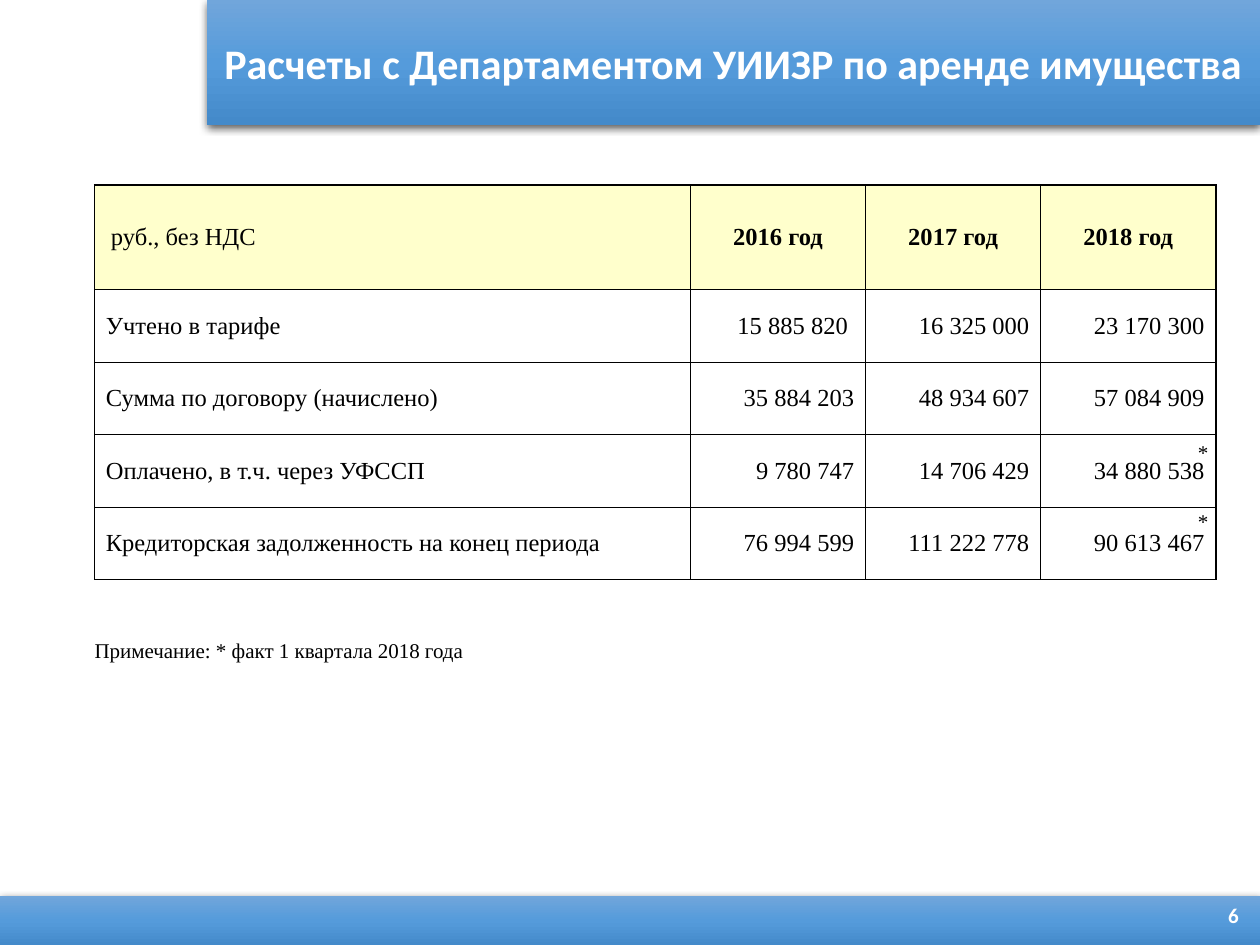
from copy import deepcopy
from dataclasses import dataclass

from lxml.etree import SubElement
from pptx import Presentation
from pptx.dml.color import RGBColor
from pptx.enum.shapes import MSO_SHAPE as Shape
from pptx.enum.text import MSO_ANCHOR as Anchor, PP_ALIGN as Align
from pptx.oxml.ns import qn
from pptx.util import Inches, Pt


@dataclass(frozen=True)
class Theme:
    white: str = "FFFFFF"
    black: str = "000000"
    header_fill: str = "FFFFCC"
    bar_stops: tuple = ((0, "71A6DB"), (0.5, "559BDB"), (1, "448ACA"))
    heading_font: str = "Calibri"
    body_font: str = "Times New Roman"
    title_size: int = 24
    table_size: int = 14
    small_size: int = 12
    inner_line: float = 0.5
    outer_line: float = 1


@dataclass(frozen=True)
class Box:
    left: float
    top: float
    width: float
    height: float

    def lengths(self) -> tuple:
        return tuple(map(Inches, (self.left, self.top, self.width, self.height)))


@dataclass(frozen=True)
class TextStyle:
    font: str
    size: int
    color: str
    bold: bool = False
    align: Align = Align.LEFT


THEME = Theme()
TITLE = TextStyle(THEME.heading_font, THEME.title_size, THEME.white, True, Align.CENTER)
PAGE_NUMBER = TextStyle(THEME.heading_font, THEME.small_size, THEME.white, True, Align.RIGHT)
NOTE = TextStyle(THEME.body_font, THEME.small_size, THEME.black)
LABEL = TextStyle(THEME.body_font, THEME.table_size, THEME.black)
YEAR = TextStyle(THEME.body_font, THEME.table_size, THEME.black, True, Align.CENTER)
AMOUNT = TextStyle(THEME.body_font, THEME.table_size, THEME.black, align=Align.RIGHT)

PAYMENTS = (
    ("руб., без НДС", "2016 год", "2017 год", "2018 год"),
    ("Учтено в тарифе", "15 885 820", "16 325 000", "23 170 300"),
    ("Сумма по договору (начислено)", "35 884 203", "48 934 607", "57 084 909"),
    ("Оплачено, в т.ч. через УФССП", "9 780 747", "14 706 429", "34 880 538"),
    ("Кредиторская задолженность на конец периода",
     "76 994 599", "111 222 778", "90 613 467"),
)
FOOTNOTE = "Примечание: * факт 1 квартала 2018 года"
COLUMN_WIDTHS = (4.73, 1.39, 1.39, 1.39)
ROW_HEIGHTS = (0.83, 0.575, 0.575, 0.575, 0.575, 0.33, 0.33)
CELL_PADDING = 0.09


def write(text_frame, text: str, style: TextStyle) -> None:
    paragraph = text_frame.paragraphs[0]
    paragraph.text = text
    paragraph.alignment = style.align
    font = paragraph.font
    font.name, font.size, font.bold = style.font, Pt(style.size), style.bold
    font.color.rgb = RGBColor.from_string(style.color)


def add_bar(slide, box: Box):
    """Draw a borderless gradient bar with a soft shadow below it."""
    bar = slide.shapes.add_shape(Shape.RECTANGLE, *box.lengths())
    bar.line.fill.background()
    bar.fill.gradient()
    bar.fill.gradient_angle = 270
    properties = bar._element.spPr
    stop_list = properties.find(f".//{qn('a:gsLst')}")
    stop_list.insert(1, deepcopy(stop_list[0]))
    for stop, (position, color) in zip(bar.fill.gradient_stops, THEME.bar_stops):
        stop.position = position
        stop.color.rgb = RGBColor.from_string(color)
    bar.shadow.inherit = False
    shadow = SubElement(
        properties.find(qn("a:effectLst")), qn("a:outerShdw"),
        blurRad=str(Pt(4.5)), dist=str(Pt(1.5)), dir="5400000", rotWithShape="0")
    color = SubElement(shadow, qn("a:srgbClr"), val=THEME.black)
    SubElement(color, qn("a:alpha"), val="63000")
    return bar


def add_text(slide, box: Box, text: str, style: TextStyle, anchor=Anchor.TOP) -> None:
    text_frame = slide.shapes.add_textbox(*box.lengths()).text_frame
    text_frame.word_wrap = True
    text_frame.vertical_anchor = anchor
    write(text_frame, text, style)


def set_border(cell, side: str, width: float) -> None:
    """Line one side (L, R, T or B); a zero width leaves it bare."""
    properties = cell._tc.get_or_add_tcPr()
    line = SubElement(properties, qn(f"a:ln{side}"), w=str(Pt(width)))
    if width:
        fill = SubElement(line, qn("a:solidFill"))
        SubElement(fill, qn("a:srgbClr"), val=THEME.black)
    else:
        SubElement(line, qn("a:noFill"))


def border_widths(row: int, column: int) -> dict:
    """Thick frame round the payments, thin grid inside, nothing below."""
    last_row, last_column = len(PAYMENTS) - 1, len(COLUMN_WIDTHS) - 1
    if row > last_row:
        top = THEME.outer_line if row == last_row + 1 else 0
        return {"L": 0, "R": 0, "T": top, "B": 0}
    on_frame = {"L": column == 0, "R": column == last_column,
                "T": row == 0, "B": row == last_row}
    return {side: THEME.outer_line if outer else THEME.inner_line
            for side, outer in on_frame.items()}


def prepare_cell(cell, row: int, column: int) -> None:
    cell.margin_left = cell.margin_right = cell.margin_top = cell.margin_bottom = 0
    cell.vertical_anchor = Anchor.MIDDLE
    for side, width in border_widths(row, column).items():
        set_border(cell, side, width)
    if row == 0:
        cell.fill.solid()
        cell.fill.fore_color.rgb = RGBColor.from_string(THEME.header_fill)
    else:
        cell.fill.background()


def add_payments_table(slide) -> None:
    box = Box(0.75, 1.47, sum(COLUMN_WIDTHS), sum(ROW_HEIGHTS))
    table = slide.shapes.add_table(
        len(ROW_HEIGHTS), len(COLUMN_WIDTHS), *box.lengths()).table
    table.first_row = table.horz_banding = False
    for column, width in zip(table.columns, COLUMN_WIDTHS):
        column.width = Inches(width)
    for row, height in enumerate(ROW_HEIGHTS):
        table.rows[row].height = Inches(height)
        for column in range(len(COLUMN_WIDTHS)):
            prepare_cell(table.cell(row, column), row, column)

    for row, values in enumerate(PAYMENTS):
        for column, text in enumerate(values):
            cell = table.cell(row, column)
            if column == 0:
                style = LABEL
                cell.margin_left = Inches(CELL_PADDING)
            elif row == 0:
                style = YEAR
            else:
                style = AMOUNT
                cell.margin_right = Inches(CELL_PADDING)
            write(cell.text_frame, text, style)
    table.cell(0, 0).margin_left = Inches(0.13)
    table.cell(1, 1).margin_right = Inches(0.14)

    note_cell = table.cell(len(ROW_HEIGHTS) - 1, 0)
    note_cell.vertical_anchor = Anchor.BOTTOM
    write(note_cell.text_frame, FOOTNOTE, NOTE)


def main() -> None:
    presentation = Presentation()
    presentation.slide_width, presentation.slide_height = Inches(10), Inches(7.5)
    slide = presentation.slides.add_slide(presentation.slide_layouts[6])

    add_bar(slide, Box(0, 7.11, 10, 0.39))
    add_text(slide, Box(9.45, 7.03, 0.48, 0.47), "6", PAGE_NUMBER, Anchor.MIDDLE)
    title_bar = add_bar(slide, Box(1.64, 0, 8.36, 0.99))
    title_bar.text_frame.vertical_anchor = Anchor.MIDDLE
    write(title_bar.text_frame, "Расчеты с Департаментом УИИЗР по аренде имущества", TITLE)

    add_payments_table(slide)
    for top in (3.44, 3.99):
        add_text(slide, Box(9.41, top, 0.26, 0.24), "*", NOTE)

    presentation.save("out.pptx")


if __name__ == "__main__":
    main()
